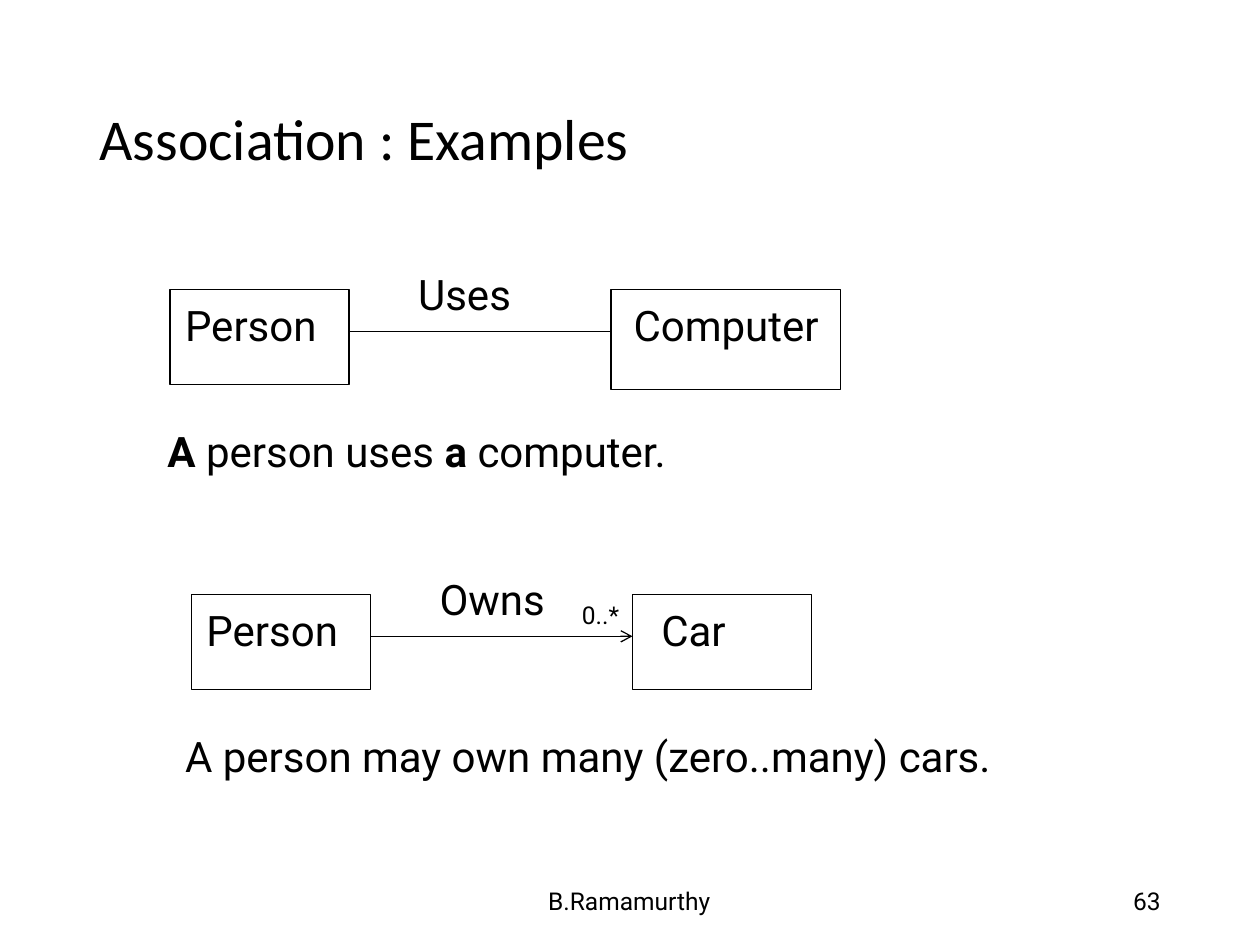
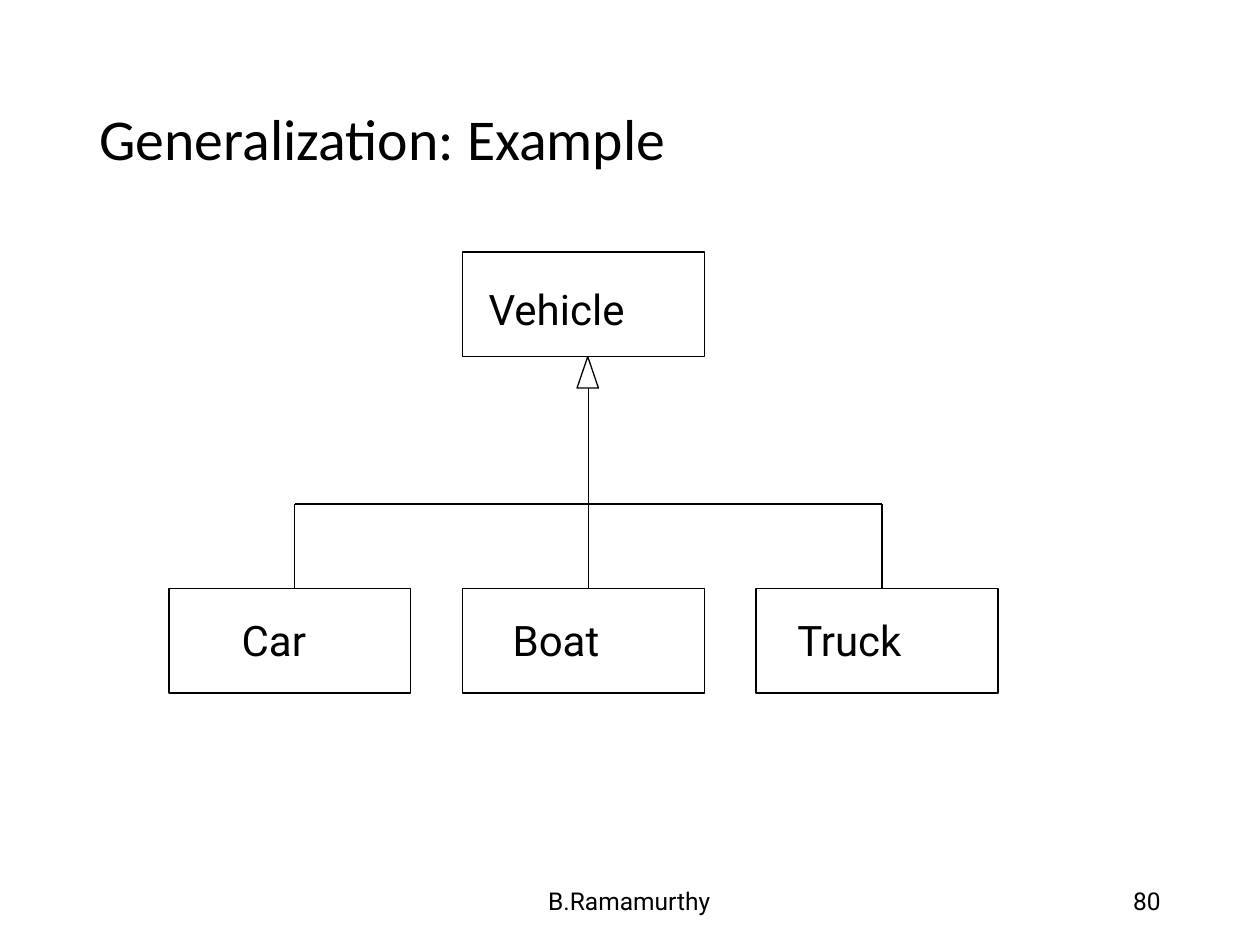
from lxml import etree
from pptx import Presentation
from pptx.dml.color import RGBColor
from pptx.enum.shapes import MSO_CONNECTOR, MSO_SHAPE
from pptx.enum.text import MSO_ANCHOR as ANCHOR, MSO_AUTO_SIZE as AUTO, PP_ALIGN as ALIGN
from pptx.oxml.ns import qn
from pptx.util import Inches, Pt

COLORS = {"ink": "000000"}
HEAD_FONT, BODY_FONT = "Calibri", "Roboto"


class Deck:
    """Holds the shared style and the current slide of a UML lecture."""

    def __init__(self):
        self.prs = Presentation()
        self.prs.slide_width, self.prs.slide_height = Inches(10), Inches(7.5)
        self.ink = RGBColor.from_string(COLORS["ink"])

    def slide(self, title, number):
        self.s = self.prs.slides.add_slide(self.prs.slide_layouts[5])
        sp = self.s.shapes.title
        sp.left, sp.top = Inches(0.69), Inches(0.4)
        sp.width, sp.height = Inches(8.63), Inches(1.45)
        tf = sp.text_frame
        tf.text = title
        tf.auto_size, tf.vertical_anchor = AUTO.NONE, ANCHOR.MIDDLE
        p = tf.paragraphs[0]
        p.alignment, p.line_spacing = ALIGN.LEFT, 0.9
        self.font(p, 33, HEAD_FONT)
        self.footer("B.Ramamurthy", 3.31, 3.37, ALIGN.CENTER)
        self.footer(number, 7.06, 2.25, ALIGN.RIGHT)

    def font(self, p, size, name=BODY_FONT):
        p.font.size, p.font.name = Pt(size), name
        p.font.color.rgb = self.ink

    def footer(self, text, x, w, align):
        tf = self.s.shapes.add_textbox(Inches(x), Inches(6.95), Inches(w), Inches(0.4)).text_frame
        tf.text = text
        tf.word_wrap, tf.vertical_anchor = True, ANCHOR.MIDDLE
        tf.paragraphs[0].alignment = align
        self.font(tf.paragraphs[0], 14)

    def label(self, runs, x, y, w, h=0.5, size=24):
        tf = self.s.shapes.add_textbox(Inches(x), Inches(y), Inches(w), Inches(h)).text_frame
        tf.word_wrap, tf.auto_size = False, AUTO.SHAPE_TO_FIT_TEXT
        p = tf.paragraphs[0]
        for text, bold in [(runs, None)] if isinstance(runs, str) else runs:
            r = p.add_run()
            r.text, r.font.bold = text, bold
        self.font(p, size)

    def outline(self, x, y, w, h, kind=MSO_SHAPE.RECTANGLE):
        sp = self.s.shapes.add_shape(kind, Inches(x), Inches(y), Inches(w), Inches(h))
        sp.shadow.inherit = False
        sp.fill.background()
        sp.line.color.rgb, sp.line.width = self.ink, Pt(0.75)

    def line(self, x1, y1, x2, y2, arrow=False):
        c = self.s.shapes.add_connector(
            MSO_CONNECTOR.STRAIGHT, Inches(x1), Inches(y1), Inches(x2), Inches(y2))
        c.line.color.rgb, c.line.width = self.ink, Pt(0.75)
        if arrow:
            etree.SubElement(c.line._get_or_add_ln(), qn("a:tailEnd"), type="arrow")
        etree.SubElement(c._element.spPr, qn("a:effectLst"))

    def association(self, x, y, verb, verb_w, target, arrow=False):
        name, name_x, name_w, box_w, box_h = target
        self.label(verb, x + 1.87, y - 0.22, verb_w)
        self.outline(x, y, 1.42, 0.75)
        self.outline(x + 3.5, y, box_w, box_h)
        self.line(x + 1.42, y + 0.33, x + 3.5, y + 0.33, arrow)
        self.label("Person", x + 0.02, y + 0.03, 1.29)
        self.label(name, x + 3.5 + name_x, y + 0.03, name_w)


def association_slide(deck):
    deck.slide("Association : Examples", "63")
    deck.association(1.35, 2.3, "Uses", 0.95, ("Computer", 0.08, 1.78, 1.82, 0.79))
    deck.label([("A", True), (" person uses ", False), ("a", True), (" computer.", False)],
               1.23, 3.33, 4.41)
    deck.association(1.52, 4.72, "Owns", 1.09, ("Car", 0.13, 0.73, 1.42, 0.75), arrow=True)
    deck.label("0..*", 4.52, 4.71, 0.52, 0.34, 14)
    deck.label("A person may own many (zero..many) cars.", 1.37, 5.75, 6.91)


def generalization_slide(deck):
    deck.slide("Generalization: Example", "80")
    box_w, box_h, child_y, bus_y, step = 1.92, 0.83, 4.67, 4, 2.33
    parent_x = 3.67
    stem_x = parent_x + 1
    deck.outline(parent_x, 2, box_w, box_h)
    deck.label("Vehicle", 3.78, 2.2, 1.31)
    deck.outline(stem_x - 0.09, 2.83, 0.17, 0.25, MSO_SHAPE.ISOSCELES_TRIANGLE)
    deck.line(stem_x, child_y, stem_x, 3.08)
    children = [("Car", 0.48, 0.73), ("Boat", 0.3, 0.92), ("Truck", 0.23, 1.06)]
    for side, (name, name_x, name_w) in enumerate(children, -1):
        x = parent_x + side * step
        deck.outline(x, child_y, box_w, box_h)
        deck.label(name, x + name_x, child_y + 0.16, name_w)
        if side:
            deck.line(x + 1, child_y, x + 1, bus_y)
            deck.line(x + 1, bus_y, stem_x, bus_y)


def main():
    deck = Deck()
    association_slide(deck)
    generalization_slide(deck)
    deck.prs.save("out.pptx")


if __name__ == "__main__":
    main()
